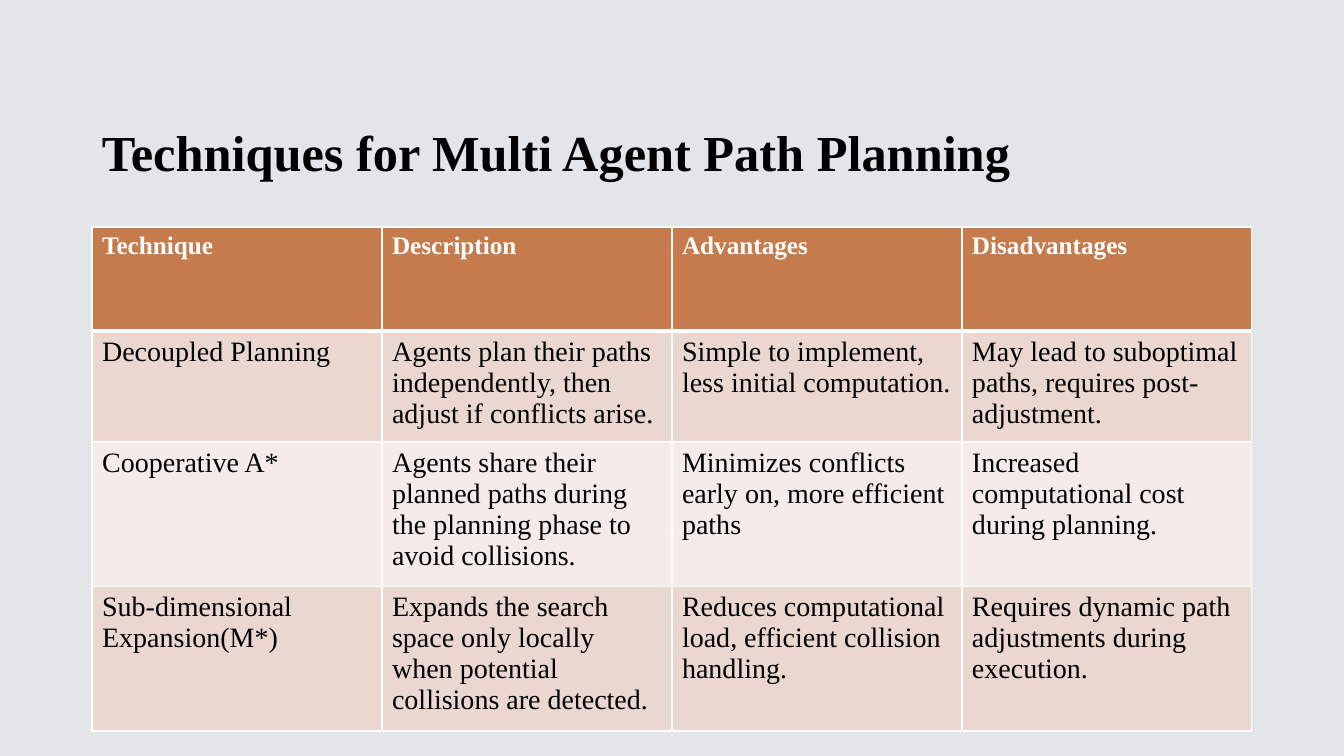
import pptx
import pptx.dml.color
import pptx.enum.text
import pptx.oxml
import pptx.oxml.ns
import pptx.util

RGBColor = pptx.dml.color.RGBColor
BACKGROUND = RGBColor(0xE2, 0xE6, 0xE8)
BLACK = RGBColor(0x00, 0x00, 0x00)
WHITE = RGBColor(0xFF, 0xFF, 0xFF)
HEADER_FILL = RGBColor(0xC5, 0x7B, 0x4B)
BAND_FILLS = (RGBColor(0xEA, 0xD7, 0xD0), RGBColor(0xF5, 0xEC, 0xE9))

SLIDE_WIDTH, SLIDE_HEIGHT = 1344, 756
EMU_PER_PX = 12192000 / SLIDE_WIDTH

LEFT = 92
COLUMN_WIDTH = 290
ROW_HEIGHTS = (104, 104, 135, 135)

TECHNIQUES = [
    ("Technique", "Description", "Advantages", "Disadvantages"),
    (
        "Decoupled Planning",
        "Agents plan their paths independently, then adjust if conflicts arise.",
        "Simple to implement, less initial computation.",
        "May lead to suboptimal paths, requires post-adjustment.",
    ),
    (
        "Cooperative A*",
        "Agents share their planned paths during the planning phase to avoid collisions.",
        "Minimizes conflicts early on, more efficient paths",
        "Increased computational cost during planning.",
    ),
    (
        "Sub-dimensional Expansion(M*)",
        "Expands the search space only locally when potential collisions are detected.",
        "Reduces computational load, efficient collision handling.",
        "Requires dynamic path adjustments during execution.",
    ),
]


def px(length):
    return pptx.util.Emu(round(length * EMU_PER_PX))


class SlideBuilder:
    font_name = "Times New Roman"

    def __init__(self, slide):
        self.slide = slide

    def background(self, color):
        fill = self.slide.background.fill
        fill.solid()
        fill.fore_color.rgb = color

    def run(self, paragraph, text, size, color, bold=False):
        run = paragraph.add_run()
        run.text = text
        run.font.name = self.font_name
        run.font.size = pptx.util.Pt(size)
        run.font.bold = bold
        run.font.color.rgb = color

    def title(self, text, left, top, width, height):
        shape = self.slide.shapes.add_textbox(px(left), px(top), px(width), px(height))
        frame = shape.text_frame
        frame.word_wrap = True
        frame.vertical_anchor = pptx.enum.text.MSO_ANCHOR.BOTTOM
        paragraph = frame.paragraphs[0]
        paragraph.line_spacing = 0.9
        self.run(paragraph, text, 36, BLACK, bold=True)

    def borders(self, cell, top, bottom):
        properties = cell._tc.get_or_add_tcPr()
        sides = (("L", 1), ("R", 1), ("T", top), ("B", bottom))
        for position, (side, points) in enumerate(sides):
            line = pptx.oxml.parse_xml(
                f'<a:ln{side} {pptx.oxml.ns.nsdecls("a")} w="{pptx.util.Pt(points)}">'
                f'<a:solidFill><a:srgbClr val="{WHITE}"/></a:solidFill></a:ln{side}>'
            )
            properties.insert(position, line)

    def table(self, rows, left, top, column_width, row_heights):
        column_count = len(rows[0])
        table = self.slide.shapes.add_table(
            len(rows), column_count, px(left), px(top),
            px(column_width * column_count), px(sum(row_heights)),
        ).table
        for column in table.columns:
            column.width = px(column_width)
        for row_index, (texts, height) in enumerate(zip(rows, row_heights)):
            table.rows[row_index].height = px(height)
            header = row_index == 0
            fill = HEADER_FILL if header else BAND_FILLS[(row_index - 1) % 2]
            for column_index, text in enumerate(texts):
                cell = table.cell(row_index, column_index)
                cell.fill.solid()
                cell.fill.fore_color.rgb = fill
                # The rule under the header is thicker than the rest
                self.borders(cell, 3 if row_index == 1 else 1, 3 if header else 1)
                self.run(
                    cell.text_frame.paragraphs[0], text,
                    18 if header else 20, WHITE if header else BLACK, bold=header,
                )


def main():
    presentation = pptx.Presentation()
    presentation.slide_width = px(SLIDE_WIDTH)
    presentation.slide_height = px(SLIDE_HEIGHT)
    builder = SlideBuilder(presentation.slides.add_slide(presentation.slide_layouts[6]))

    # Background and heading
    builder.background(BACKGROUND)
    builder.title("Techniques for Multi Agent Path Planning", LEFT, 64, 1160, 123)

    # Comparison of techniques
    builder.table(TECHNIQUES, LEFT, 227, COLUMN_WIDTH, ROW_HEIGHTS)

    presentation.save("out.pptx")


if __name__ == "__main__":
    main()
